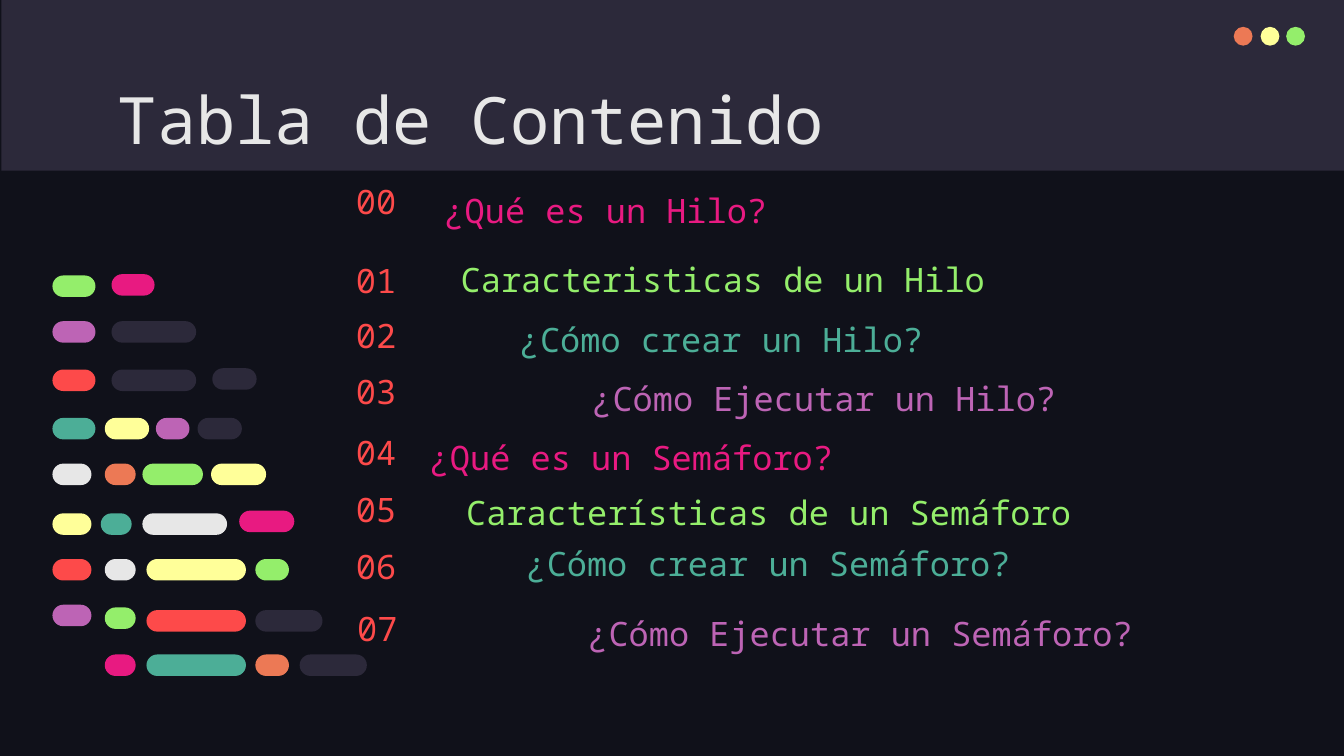
from pptx import Presentation
from pptx.dml.color import RGBColor
from pptx.enum.shapes import MSO_SHAPE
from pptx.enum.text import MSO_ANCHOR
from pptx.util import Inches, Pt

NIGHT = RGBColor(0x10, 0x11, 0x1A)
SLATE = RGBColor(0x2C, 0x29, 0x3A)
WHITE = RGBColor(0xE7, 0xE7, 0xE7)
RED = RGBColor(0xFD, 0x4A, 0x4A)
ORANGE = RGBColor(0xEC, 0x79, 0x55)
YELLOW = RGBColor(0xFF, 0xFF, 0x99)
GREEN = RGBColor(0x94, 0xEE, 0x6B)
TEAL = RGBColor(0x4C, 0xAE, 0x97)
PURPLE = RGBColor(0xBD, 0x64, 0xB5)
PINK = RGBColor(0xE8, 0x1A, 0x81)

FONT = "Noto Sans Mono"
TITLE = "Tabla de Contenido"
TOPIC_COLORS = [PINK, GREEN, TEAL, PURPLE]  # repeats for each group of four

# (topic, left, top, width), (number left, top, height)
TOPICS = [
    (("¿Qué es un Hilo?", 3.21, 1.28, 4.6), (2.55, 1.28, 0.43)),
    (("Caracteristicas de un Hilo", 3.33, 1.8, 4.6), (2.55, 1.87, 0.43)),
    (("¿Cómo crear un Hilo?", 3.77, 2.24, 4.6), (2.55, 2.31, 0.36)),
    (("¿Cómo Ejecutar un Hilo?", 4.31, 2.68, 5.3), (2.55, 2.73, 0.36)),
    (("¿Qué es un Semáforo?", 3.1, 3.12, 4.6), (2.55, 3.15, 0.43)),
    (("Características de un Semáforo", 3.37, 3.53, 5.15), (2.55, 3.57, 0.43)),
    (("¿Cómo crear un Semáforo?", 3.82, 3.91, 4.6), (2.55, 4.03, 0.36)),
    (("¿Cómo Ejecutar un Semáforo?", 4.28, 4.43, 5.3), (2.56, 4.49, 0.36)),
]

# Lines of decorative code: top, then (left, width, color) of each bar
CODE_LINES = [
    (2.05, [(0.39, 0.32, GREEN)]),
    (2.04, [(0.83, 0.32, PINK)]),
    (2.39, [(0.39, 0.32, PURPLE), (0.83, 0.63, SLATE)]),
    (2.75, [(0.39, 0.32, RED), (0.83, 0.63, SLATE)]),
    (2.74, [(1.58, 0.33, SLATE)]),
    (3.11, [(0.39, 0.32, TEAL), (0.78, 0.33, YELLOW), (1.16, 0.25, PURPLE),
            (1.47, 0.33, SLATE)]),
    (3.45, [(0.39, 0.29, WHITE), (0.78, 0.23, ORANGE), (1.06, 0.45, GREEN),
            (1.57, 0.41, YELLOW)]),
    (3.82, [(0.39, 0.29, YELLOW), (0.75, 0.23, TEAL), (1.06, 0.63, WHITE)]),
    (3.8, [(1.78, 0.41, PINK)]),
    (4.16, [(0.39, 0.29, RED), (0.78, 0.23, WHITE), (1.09, 0.74, YELLOW),
            (1.9, 0.25, GREEN)]),
    (4.5, [(0.39, 0.29, PURPLE)]),
    (4.52, [(0.78, 0.23, GREEN)]),
    (4.54, [(1.09, 0.74, RED), (1.9, 0.5, SLATE)]),
    (4.87, [(0.78, 0.23, PINK), (1.09, 0.74, TEAL), (1.9, 0.25, ORANGE),
            (2.23, 0.5, SLATE)]),
]
WINDOW_DOTS = [(9.18, ORANGE), (9.38, YELLOW), (9.57, GREEN)]


def add_block(page, kind, left, top, width, height, color):
    block = page.shapes.add_shape(
        kind, Inches(left), Inches(top), Inches(width), Inches(height))
    block.shadow.inherit = False
    block.fill.solid()
    block.fill.fore_color.rgb = color
    block.line.fill.background()
    return block


def add_text(page, text, left, top, width, height, color,
             size=18, anchor=MSO_ANCHOR.MIDDLE, spacing=None):
    box = page.shapes.add_textbox(
        Inches(left), Inches(top), Inches(width), Inches(height))
    frame = box.text_frame
    frame.word_wrap = True
    frame.vertical_anchor = anchor
    frame.margin_left = frame.margin_right = Inches(0.1)
    frame.margin_top = frame.margin_bottom = Inches(0.1)
    para = frame.paragraphs[0]
    para.text = text
    para.line_spacing = spacing
    para.font.name = FONT
    para.font.size = Pt(size)
    para.font.color.rgb = color


def main():
    deck = Presentation()
    deck.slide_width = Inches(10)
    deck.slide_height = deck.slide_width * 9 // 16
    page = deck.slides.add_slide(deck.slide_layouts[6])
    page.background.fill.solid()
    page.background.fill.fore_color.rgb = NIGHT

    add_block(page, MSO_SHAPE.RECTANGLE, 0.01, 0, 10, 1.27, SLATE)
    for left, color in WINDOW_DOTS:
        add_block(page, MSO_SHAPE.OVAL, left, 0.2, 0.14, 0.14, color)
    add_text(page, TITLE, 0.78, 0.49, 8.43, 0.63, WHITE,
             size=35, anchor=MSO_ANCHOR.TOP)

    for top, bars in CODE_LINES:
        for left, width, color in bars:
            bar = add_block(page, MSO_SHAPE.ROUNDED_RECTANGLE,
                            left, top, width, 0.16, color)
            bar.adjustments[0] = 0.5

    for index, (topic, number) in enumerate(TOPICS):
        number_left, number_top, number_height = number
        add_text(page, f"{index:02}", number_left, number_top, 0.66, number_height, RED)
        text, left, top, width = topic
        add_text(page, text, left, top, width, 0.53,
                 TOPIC_COLORS[index % len(TOPIC_COLORS)],
                 anchor=MSO_ANCHOR.BOTTOM, spacing=1.15)

    deck.save("out.pptx")


if __name__ == "__main__":
    main()
